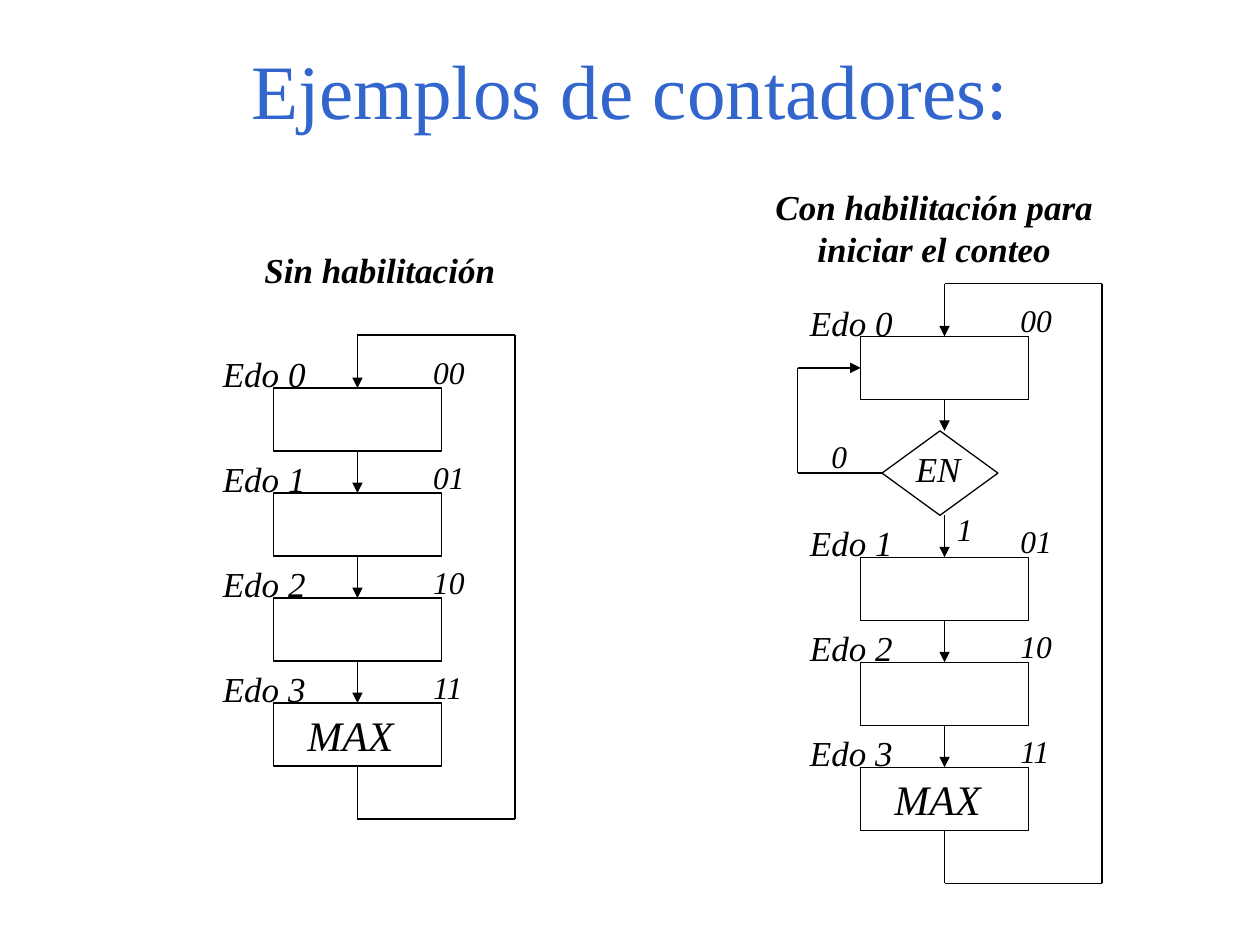
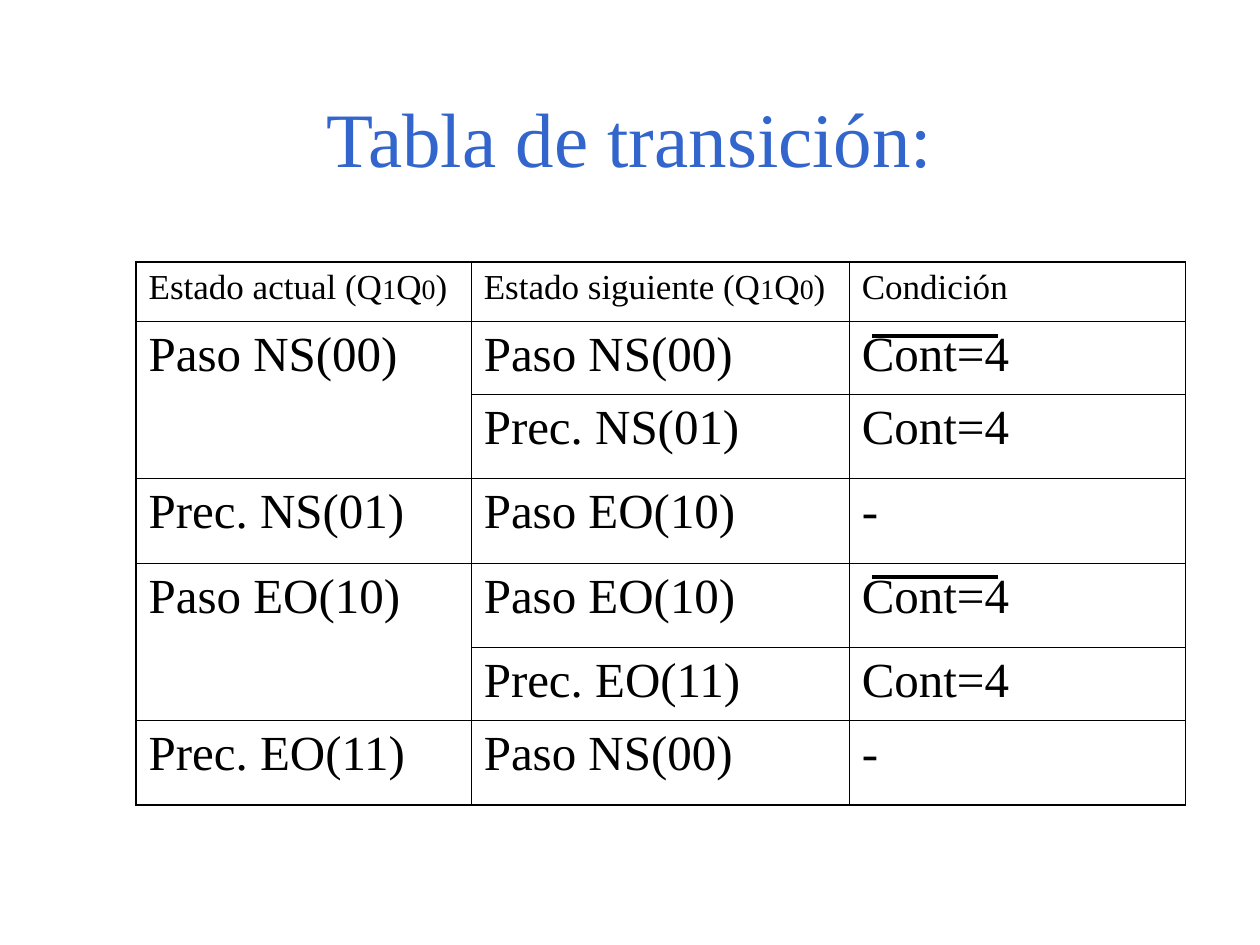
"""Build two slides on counters: state diagrams and a transition table."""
from itertools import pairwise

from lxml import etree
from pptx import Presentation
from pptx.dml.color import RGBColor
from pptx.enum.shapes import MSO_CONNECTOR, MSO_SHAPE
from pptx.enum.text import MSO_ANCHOR, MSO_AUTO_SIZE, PP_ALIGN
from pptx.oxml.ns import qn
from pptx.util import Inches, Pt

LEFT, CENTER = PP_ALIGN.LEFT, PP_ALIGN.CENTER
MIDDLE = MSO_ANCHOR.MIDDLE
NO_FIT, GROW = MSO_AUTO_SIZE.NONE, MSO_AUTO_SIZE.SHAPE_TO_FIT_TEXT
RECTANGLE, DECISION = MSO_SHAPE.RECTANGLE, MSO_SHAPE.FLOWCHART_DECISION
STRAIGHT = MSO_CONNECTOR.STRAIGHT
TITLE_ONLY = 5

FONT = "Times New Roman"
COLORS = {"title": "3366CC", "ink": "000000", "background": "FFFFFF"}

STATES = [("Edo 0", "00"), ("Edo 1", "01"), ("Edo 2", "10"), ("Edo 3", "11")]
LAST_STATE_OUTPUT = "MAX"
COUNTERS = [
    {"heading": "Sin habilitación", "heading_box": (2, 1.92, 2.08, 0.44),
     "align": LEFT, "left": 2.17, "top": 3.08, "enable": None},
    {"heading": "Con habilitación para iniciar el conteo",
     "heading_box": (5.83, 1.42, 3.17, 0.77),
     "align": CENTER, "left": 6.83, "top": 2.67, "enable": "EN"},
]
BOX_WIDTH, BOX_HEIGHT = 4 / 3, 0.5
STATE_PITCH = 5 / 6
ENABLE_GAP = 0.92
ENABLE_WIDTH, ENABLE_HEIGHT = 0.92, 0.67
LOOP_WIDTH, LOOP_RISE = 1.25, 0.42
LABEL_RISE = 0.33

HEADERS = [
    [("Estado actual (Q", 20), ("1", 16), ("Q", 20), ("0", 16), (")", 20)],
    [("Estado siguiente (Q", 20), ("1", 16), ("Q", 20), ("0", 16), (")", 20)],
    "Condición",
]
TRANSITIONS = [
    ("Paso NS(00)", "Paso NS(00)", "Cont=4"),
    (None, "Prec. NS(01)", "Cont=4"),
    ("Prec. NS(01)", "Paso EO(10)", "-"),
    ("Paso EO(10)", "Paso EO(10)", "Cont=4"),
    (None, "Prec. EO(11)", "Cont=4"),
    ("Prec. EO(11)", "Paso NS(00)", "-"),
]
COLUMN_WIDTHS = [2.66, 3, 2.67]
ROW_HEIGHTS = [0.47, 0.58, 0.67, 0.67, 0.67, 0.58, 0.67]
TABLE_LEFT, TABLE_TOP = 1.08, 2.08
NEGATION_TOPS = [2.67, 4.58]
OUTER_BORDER, INNER_BORDER = 1.08, 0.45


def color(name):
    return RGBColor.from_string(COLORS[name])


def write_text(frame, text, size=20, ink="ink", bold=False, italic=False,
               align=LEFT, space_before=0):
    """Fill a frame with a string or with (text, size) runs."""
    frame.word_wrap = True
    paragraph = frame.paragraphs[0]
    paragraph.alignment = align
    paragraph.space_before = Pt(space_before)
    for part, part_size in [(text, size)] if isinstance(text, str) else text:
        run = paragraph.add_run()
        run.text = part
        font = run.font
        font.name, font.size = FONT, Pt(part_size)
        font.bold, font.italic = bold, italic
        font.color.rgb = color(ink)


def add_titled_slide(presentation, title, top, height):
    slide = presentation.slides.add_slide(presentation.slide_layouts[TITLE_ONLY])
    slide.background.fill.solid()
    slide.background.fill.fore_color.rgb = color("background")
    shape = slide.shapes.title
    shape.left, shape.top = Inches(0.75), Inches(top)
    shape.width, shape.height = Inches(8.5), Inches(height)
    frame = shape.text_frame
    frame.vertical_anchor, frame.auto_size = MIDDLE, NO_FIT
    write_text(frame, title, size=44, ink="title", align=CENTER)
    return slide


def add_label(slide, text, box, size=20, **text_format):
    shape = slide.shapes.add_textbox(*map(Inches, box))
    write_text(shape.text_frame, text, size=size, italic=True,
               space_before=size * 0.625, **text_format)
    shape.text_frame.auto_size = GROW


def add_outline(slide, kind, *box):
    shape = slide.shapes.add_shape(kind, *map(Inches, box))
    shape.shadow.inherit = False
    shape.fill.background()
    shape.line.color.rgb = color("ink")
    shape.line.width = Pt(0.75)


def add_line(slide, start, end, arrow=False, width=0.75):
    connector = slide.shapes.add_connector(STRAIGHT, *map(Inches, start + end))
    connector.line.color.rgb = color("ink")
    connector.line.width = Pt(width)
    if arrow:
        line = connector.line._get_or_add_ln()
        etree.SubElement(line, qn("a:tailEnd"), type="triangle")
    etree.SubElement(connector._element.spPr, qn("a:effectLst"))


def add_route(slide, points):
    """Join the points with lines, the last one ending in an arrowhead."""
    for start, end in pairwise(points):
        add_line(slide, start, end, arrow=end == points[-1])


def add_enable_test(slide, text, left, axis, state_top):
    state_bottom = state_top + BOX_HEIGHT
    top = state_bottom + 0.25
    middle = top + ENABLE_HEIGHT / 2
    test_left, return_left = left + 0.17, left - 0.5
    entry = state_top + BOX_HEIGHT / 2
    add_outline(slide, DECISION, test_left, top, ENABLE_WIDTH, ENABLE_HEIGHT)
    add_label(slide, text, (left + 0.34, top + 0.08, 0.75, 0.44))
    add_label(slide, "0", (left - 0.33, top, 0.5, 0.4), size=18)
    add_label(slide, "1", (axis, top + 0.58, 0.5, 0.4), size=18)
    add_route(slide, [(axis, state_bottom), (axis, top)])
    add_route(slide, [(test_left, middle), (return_left, middle),
                      (return_left, entry), (left, entry)])
    return top + ENABLE_HEIGHT


def add_counter(slide, counter):
    left, first_top, enable = counter["left"], counter["top"], counter["enable"]
    axis = left + BOX_WIDTH / 2
    gap = ENABLE_GAP if enable else 0
    tops = [first_top + index * STATE_PITCH + (gap if index else 0)
            for index in range(len(STATES))]

    add_label(slide, counter["heading"], counter["heading_box"],
              bold=True, align=counter["align"])
    for (name, code), top in zip(STATES, tops):
        add_outline(slide, RECTANGLE, left, top, BOX_WIDTH, BOX_HEIGHT)
        add_label(slide, name, (left - 0.5, top - LABEL_RISE, 1.08, 0.44))
        add_label(slide, code, (left + 1.17, top - LABEL_RISE, 0.5, 0.4), size=18)
    add_label(slide, LAST_STATE_OUTPUT, (left + 0.17, tops[-1], 1.08, 0.5), size=24)

    exits = [top + BOX_HEIGHT for top in tops]
    if enable:
        exits[0] = add_enable_test(slide, enable, left, axis, first_top)
    for exit_top, next_top in zip(exits, tops[1:]):
        add_route(slide, [(axis, exit_top), (axis, next_top)])

    loop_right = axis + LOOP_WIDTH
    loop_top, loop_bottom = first_top - LOOP_RISE, exits[-1] + LOOP_RISE
    add_route(slide, [(axis, exits[-1]), (axis, loop_bottom),
                      (loop_right, loop_bottom), (loop_right, loop_top),
                      (axis, loop_top), (axis, first_top)])


def set_borders(cell, outer_sides):
    properties = cell._tc.get_or_add_tcPr()
    for position, side in enumerate("LRTB"):
        width = OUTER_BORDER if side in outer_sides else INNER_BORDER
        line = etree.Element(qn(f"a:ln{side}"), w=str(Pt(width)))
        fill = etree.SubElement(line, qn("a:solidFill"))
        etree.SubElement(fill, qn("a:srgbClr"), val=COLORS["ink"])
        properties.insert(position, line)


def add_transition_table(slide):
    rows = [HEADERS, *TRANSITIONS]
    last_row, last_column = len(rows) - 1, len(HEADERS) - 1
    box = (TABLE_LEFT, TABLE_TOP, sum(COLUMN_WIDTHS), sum(ROW_HEIGHTS))
    table = slide.shapes.add_table(len(rows), len(HEADERS), *map(Inches, box)).table
    table.first_row = table.horz_banding = False
    for column, width in zip(table.columns, COLUMN_WIDTHS):
        column.width = Inches(width)
    for row, height in zip(table.rows, ROW_HEIGHTS):
        row.height = Inches(height)

    for row_index, texts in enumerate(rows):
        size = 28 if row_index else 20
        for column_index, text in enumerate(texts):
            cell = table.cell(row_index, column_index)
            cell.fill.background()
            edges = {"L": column_index == 0, "R": column_index == last_column,
                     "T": row_index == 0, "B": row_index == last_row}
            set_borders(cell, [side for side, outer in edges.items() if outer])
            if text is None:
                table.cell(row_index - 1, column_index).merge(cell)
            else:
                write_text(cell.text_frame, text, size=size, space_before=size / 4)


def main():
    presentation = Presentation()
    presentation.slide_width, presentation.slide_height = Inches(10), Inches(7.5)

    slide = add_titled_slide(presentation, "Ejemplos de contadores:", 0.33, 0.75)
    for counter in COUNTERS:
        add_counter(slide, counter)

    slide = add_titled_slide(presentation, "Tabla de transición:", 0.42, 1.33)
    add_transition_table(slide)
    for top in NEGATION_TOPS:
        add_line(slide, (6.92, top), (7.92, top), width=2.25)

    presentation.save("out.pptx")


if __name__ == "__main__":
    main()
